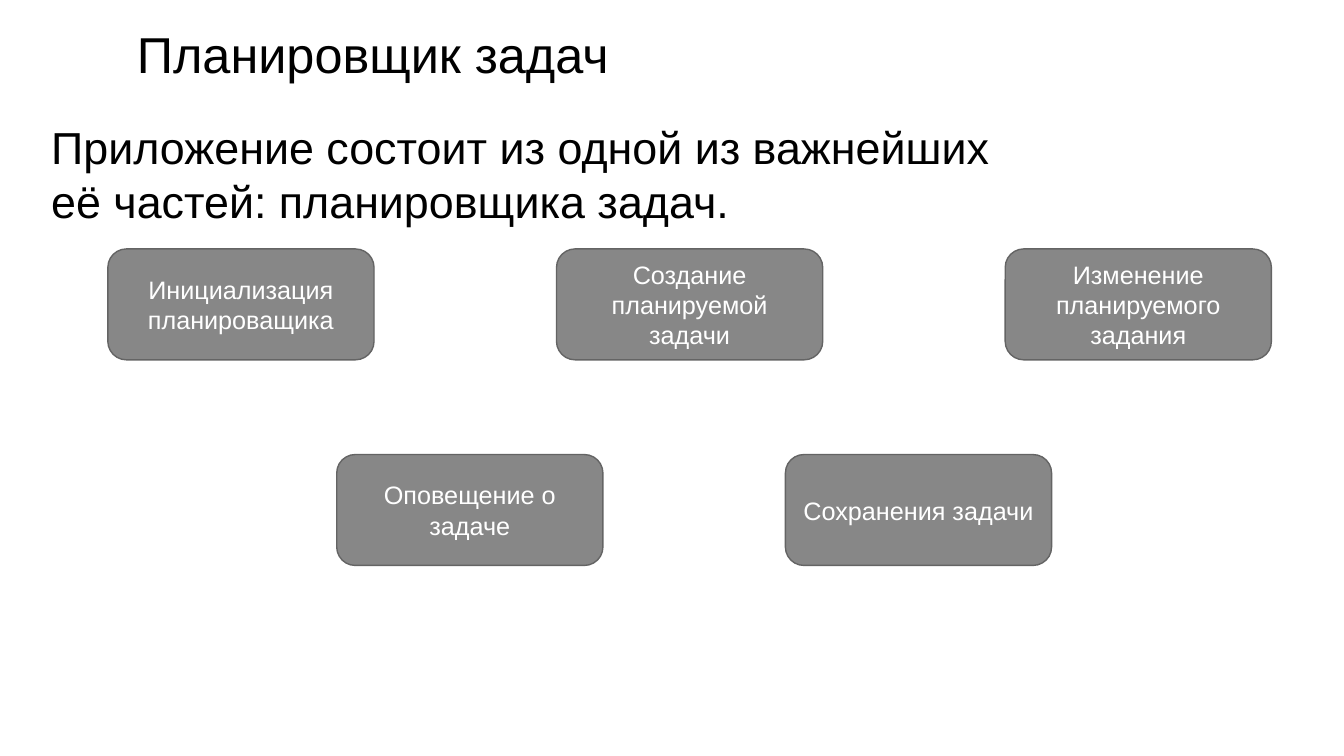
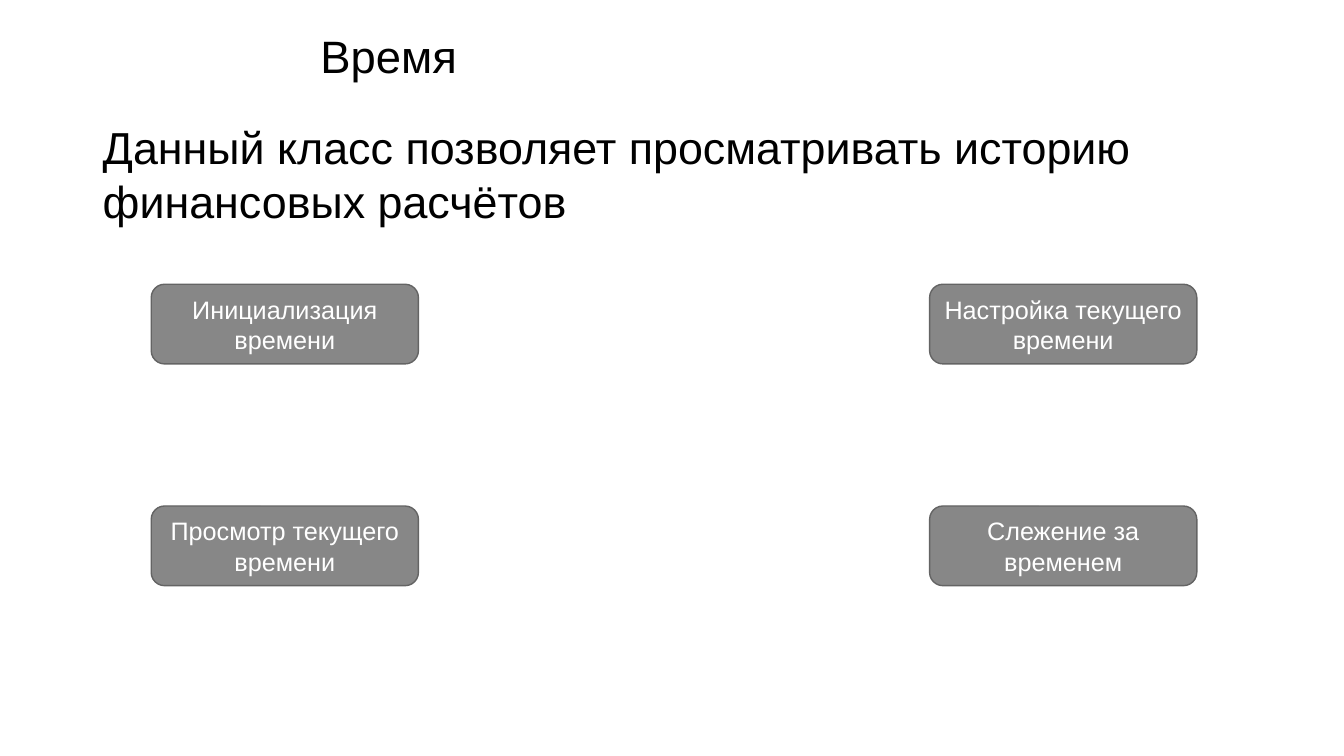
from pptx import Presentation
from pptx.dml.color import RGBColor
from pptx.enum.shapes import MSO_SHAPE as Shape
from pptx.enum.text import MSO_ANCHOR as Anchor, PP_ALIGN as Align
from pptx.util import Inches, Pt

FONT = "Arial"
BLACK, WHITE, GRAY, DARK_GRAY = "000000", "FFFFFF", "878787", "646464"
TITLE_HEIGHT, BODY_TOP = 0.64, 1.14

SLIDES = [
    {
        "title": ("Планировщик задач", 36, (1.26, 0.21)),
        "body": ("Приложение состоит из одной из важнейших её частей: планировщика задач.", 0.41, 9.57),
        "box": (2.64, 1.1),
        "first_top": 2.47,
        "row_pitch": 2.04,
        "column_pitch": 4.45,
        "rows": [
            (1.07, ["Инициализация планироващика", "Создание планируемой задачи",
                    "Изменение планируемого задания"]),
            (3.34, ["Оповещение о задаче", "Сохранения задачи"]),
        ],
    },
    {
        "title": ("Время", 32.4, (3.08, 0.23)),
        "body": ("Данный класс позволяет просматривать историю финансовых расчётов", 0.92, 11.49),
        "box": (2.65, 0.79),
        "first_top": 2.82,
        "row_pitch": 2.2,
        "column_pitch": 7.72,
        "rows": [
            (1.5, ["Инициализация времени", "Настройка текущего времени"]),
            (1.5, ["Просмотр текущего времени", "Слежение за временем"]),
        ],
    },
]


def color(value):
    return RGBColor.from_string(value)


def write(shape, text, size, ink, align=Align.LEFT, anchor=Anchor.MIDDLE, before=0):
    frame = shape.text_frame
    frame.word_wrap = True
    frame.vertical_anchor = anchor
    paragraph = frame.paragraphs[0]
    paragraph.alignment = align
    paragraph.space_before = Pt(before)
    run = paragraph.add_run()
    run.text = text
    run.font.name = FONT
    run.font.size = Pt(size)
    run.font.color.rgb = color(ink)


def add_text(slide, area, text, size, **style):
    write(slide.shapes.add_textbox(*map(Inches, area)), text, size, BLACK, **style)


def add_box(slide, area, text):
    shape = slide.shapes.add_shape(Shape.ROUNDED_RECTANGLE, *map(Inches, area))
    shape.shadow.inherit = False
    shape.fill.solid()
    shape.fill.fore_color.rgb = color(GRAY)
    shape.line.color.rgb = color(DARK_GRAY)
    shape.line.width = Pt(1)
    write(shape, text, 18, WHITE, align=Align.CENTER)


def build_slide(presentation, content):
    slide = presentation.slides.add_slide(presentation.slide_layouts[6])
    title, size, (left, top) = content["title"]
    add_text(slide, (left, top, 10, TITLE_HEIGHT), title, size)
    body, left, width = content["body"]
    add_text(slide, (left, BODY_TOP, width, 1.2), body, 32, anchor=Anchor.TOP, before=3)
    for row, (left, labels) in enumerate(content["rows"]):
        top = content["first_top"] + row * content["row_pitch"]
        for column, label in enumerate(labels):
            add_box(slide, (left + column * content["column_pitch"], top, *content["box"]), label)


def main():
    presentation = Presentation()
    presentation.slide_width = Inches(13.33)
    presentation.slide_height = Inches(7.5)
    for content in SLIDES:
        build_slide(presentation, content)
    presentation.save("out.pptx")


if __name__ == "__main__":
    main()
